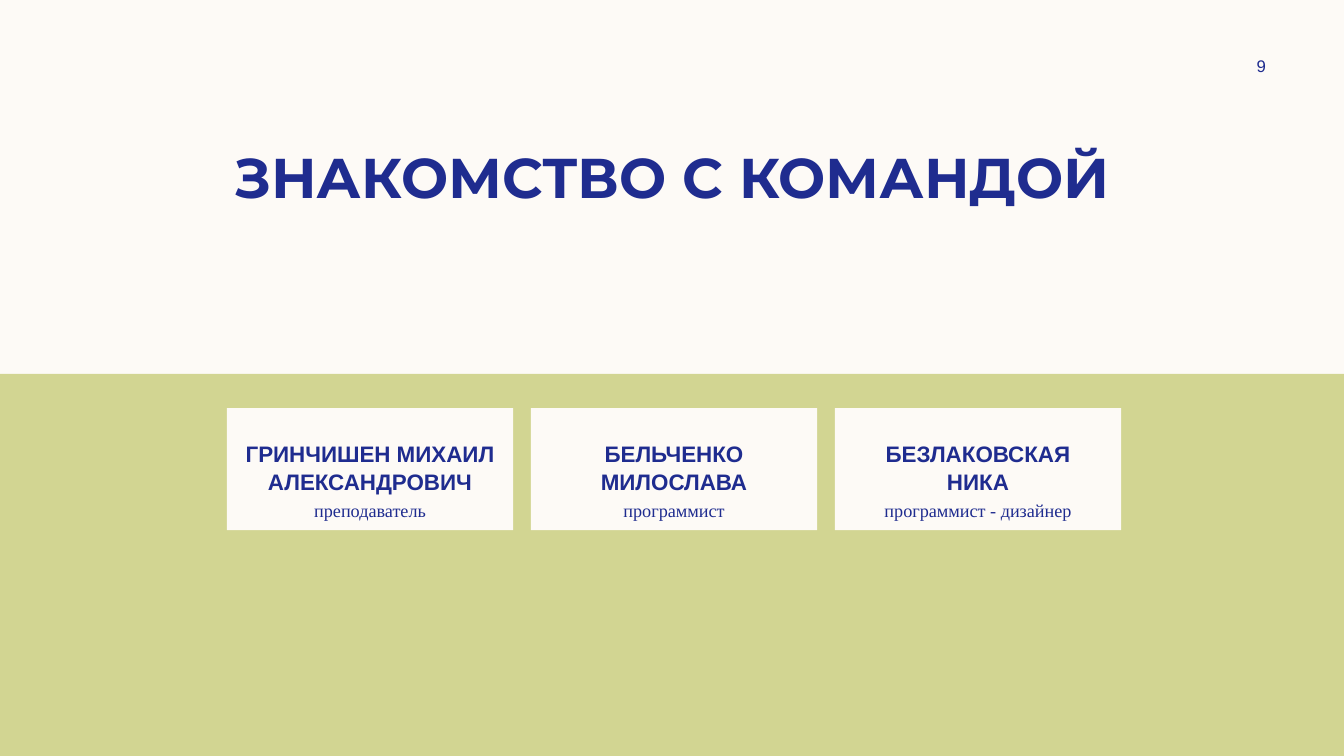
from dataclasses import dataclass

from pptx import Presentation
from pptx.dml.color import RGBColor
from pptx.enum.shapes import MSO_SHAPE as Preset
from pptx.enum.text import MSO_ANCHOR as Anchor, PP_ALIGN as Align
from pptx.shapes.autoshape import Shape
from pptx.slide import Slide
from pptx.util import Inches, Pt


@dataclass(frozen=True)
class Theme:
    cream: RGBColor = RGBColor.from_string("FDFAF6")
    green: RGBColor = RGBColor.from_string("D2D592")
    navy: RGBColor = RGBColor.from_string("1F2C8F")
    title_font: str = "Montserrat"
    name_font: str = "Arial"
    role_font: str = "Times New Roman"
    title_size: float = 40
    name_size: float = 16
    role_size: float = 13
    number_size: float = 12


@dataclass(frozen=True)
class Box:
    left: float
    top: float
    width: float
    height: float

    def lengths(self) -> tuple[Inches, ...]:
        return tuple(Inches(v) for v in (self.left, self.top, self.width, self.height))


@dataclass(frozen=True)
class Member:
    name: str
    role: str


THEME = Theme()
TEAM = (
    Member("ГРИНЧИШЕН МИХАИЛ АЛЕКСАНДРОВИЧ", "преподаватель"),
    Member("БЕЛЬЧЕНКО МИЛОСЛАВА", "программист"),
    Member("БЕЗЛАКОВСКАЯ\nНИКА", "программист - дизайнер"),
)
CARD_LEFT, CARD_TOP = 2.25, 4.05
CARD_WIDTH, CARD_HEIGHT = 2.84, 1.21
CARD_PITCH = 3.015
ROLE_TOP, ROLE_HEIGHT = 4.86, 0.4


def write(holder: Shape, text: str, *, font: str, size: float, bold: bool = False,
          anchor: Anchor = Anchor.MIDDLE, spacing: float = 1.0,
          insets: tuple[float, float, float, float] = (0.1, 0.05, 0.1, 0.05)) -> None:
    frame = holder.text_frame
    frame.word_wrap = True
    frame.vertical_anchor = anchor
    frame.margin_left, frame.margin_top, frame.margin_right, frame.margin_bottom = map(Inches, insets)
    frame.text = text
    for paragraph in frame.paragraphs:
        paragraph.alignment = Align.CENTER
        paragraph.line_spacing = spacing
        for run in paragraph.runs:
            run.font.name = font
            run.font.size = Pt(size)
            run.font.bold = bold
            run.font.color.rgb = THEME.navy


def add_panel(slide: Slide, box: Box, color: RGBColor) -> Shape:
    panel = slide.shapes.add_shape(Preset.RECTANGLE, *box.lengths())
    panel.shadow.inherit = False
    panel.fill.solid()
    panel.fill.fore_color.rgb = color
    panel.line.fill.background()
    return panel


def add_label(slide: Slide, box: Box) -> Shape:
    return slide.shapes.add_textbox(*box.lengths())


def add_member(slide: Slide, member: Member, left: float) -> None:
    card = add_panel(slide, Box(left, CARD_TOP, CARD_WIDTH, CARD_HEIGHT), THEME.cream)
    write(card, member.name, font=THEME.name_font, size=THEME.name_size, bold=True,
          anchor=Anchor.TOP, spacing=1.05, insets=(0, 0.3, 0, 0.05))
    role = add_label(slide, Box(left, ROLE_TOP, CARD_WIDTH, ROLE_HEIGHT))
    write(role, member.role, font=THEME.role_font, size=THEME.role_size)


def main() -> None:
    deck = Presentation()
    deck.slide_width, deck.slide_height = Inches(13.33), Inches(7.5)
    slide = deck.slides.add_slide(deck.slide_layouts[6])
    slide.background.fill.solid()
    slide.background.fill.fore_color.rgb = THEME.cream

    add_panel(slide, Box(-0.03, 3.71, 13.36, 3.79), THEME.green)
    title = add_label(slide, Box(0.83, 1.33, 11.67, 0.84))
    write(title, "ЗНАКОМСТВО С КОМАНДОЙ", font=THEME.title_font, size=THEME.title_size,
          bold=True, anchor=Anchor.TOP, spacing=1.05)
    page_number = add_label(slide, Box(11.97, 0.5, 1.08, 0.3))
    write(page_number, "9", font=THEME.name_font, size=THEME.number_size)

    for index, member in enumerate(TEAM):
        add_member(slide, member, CARD_LEFT + index * CARD_PITCH)

    deck.save("out.pptx")


if __name__ == "__main__":
    main()
